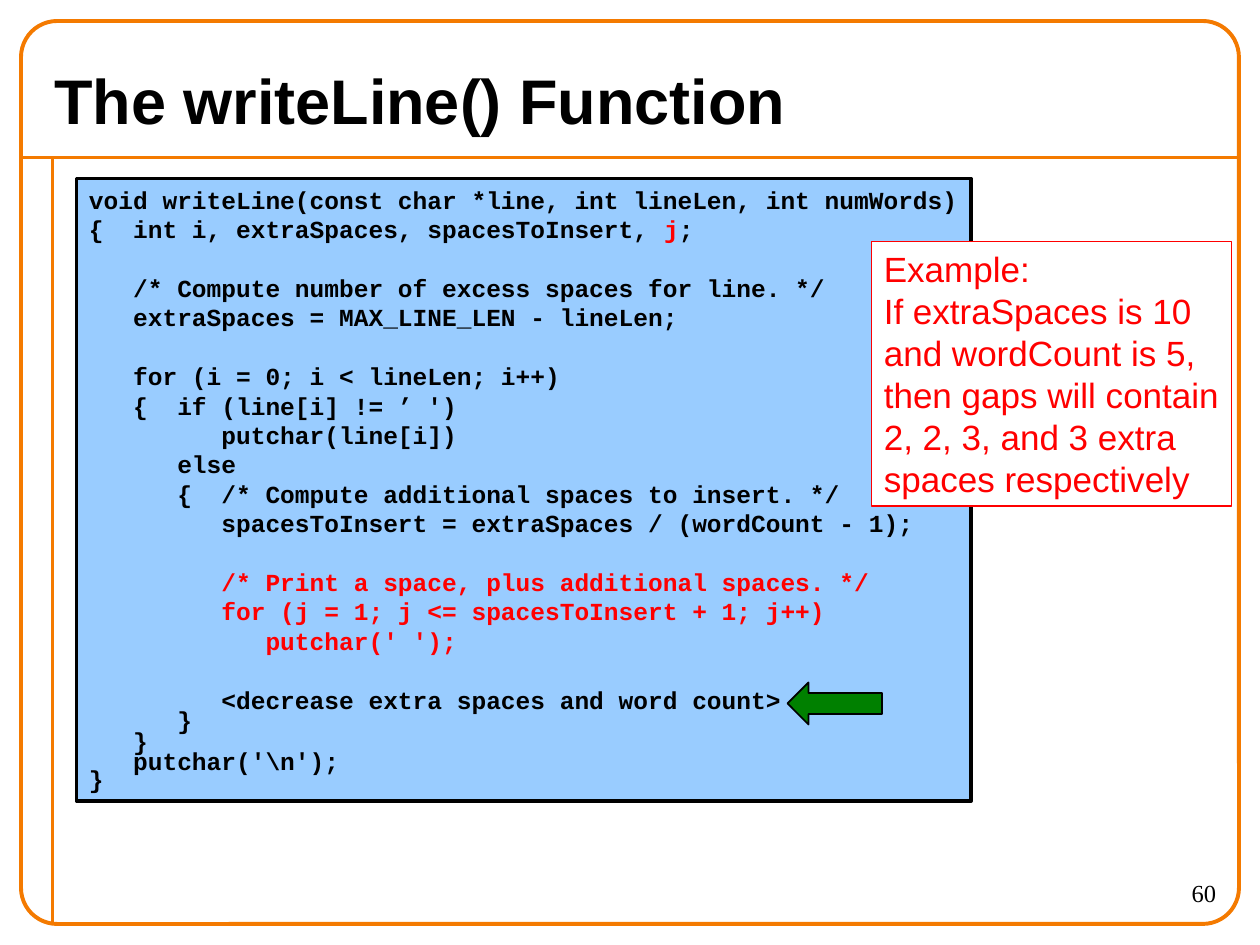
from dataclasses import dataclass

from pptx import Presentation
from pptx import util as u
from pptx.dml.color import RGBColor
from pptx.enum import shapes, text
from pptx.oxml.ns import qn


@dataclass(frozen=True)
class Theme:
    frame: str = "F47A00"
    ink: str = "000000"
    accent: str = "FF0000"
    code_fill: str = "99CCFF"
    paper: str = "FFFFFF"
    arrow: str = "008000"
    sans: str = "Arial"
    mono: str = "Courier New"
    serif: str = "Times New Roman"
    title_size: int = 36
    note_size: int = 20
    code_size: int = 14
    leading: float = 1.2


@dataclass(frozen=True)
class Area:
    column: float
    row: float
    columns: float
    rows: float

    def lengths(self) -> list[int]:
        return [cells(n) for n in (self.column, self.row, self.columns, self.rows)]


@dataclass(frozen=True)
class Style:
    font: str
    size: int
    bold: bool = False


@dataclass(frozen=True)
class Run:
    words: str
    color: str


@dataclass(frozen=True)
class Line:
    runs: tuple[Run, ...]
    height: float = 1
    gap: int = 0


THEME = Theme()
COLUMNS, ROWS = 120, 90
CELL = u.Inches(10) / COLUMNS


def cells(count: float) -> int:
    return round(count * CELL)


def code(words: str, color: str = THEME.ink, height: float = 1, gap: int = 0) -> Line:
    return Line((Run(words, color),), height, gap)


CODE = [
    code("void writeLine(const char *line, int lineLen, int numWords)"),
    Line((Run("{  int i, extraSpaces, spacesToInsert, ", THEME.ink),
          Run("j", THEME.accent), Run(";", THEME.ink))),
    code("   /* Compute number of excess spaces for line. */", gap=1),
    code("   extraSpaces = MAX_LINE_LEN - lineLen;"),
    code("   for (i = 0; i < lineLen; i++)", gap=1),
    code("   {  if (line[i] != ’ ')"),
    code("         putchar(line[i])"),
    code("      else"),
    code("      {  /* Compute additional spaces to insert. */"),
    code("         spacesToInsert = extraSpaces / (wordCount - 1);"),
    code("         /* Print a space, plus additional spaces. */", THEME.accent, gap=1),
    code("         for (j = 1; j <= spacesToInsert + 1; j++)", THEME.accent),
    code("            putchar(' ');", THEME.accent),
    code("         <decrease extra spaces and word count>", gap=1),
    code("      }", height=0.7),
    code("   }", height=0.7),
    code("   putchar('\\n');", height=0.7),
    code("}", height=0.6),
]

EXAMPLE = [
    code(words, THEME.accent) for words in (
        "Example:",
        "If extraSpaces is 10",
        "and wordCount is 5,",
        "then gaps will contain",
        "2, 2, 3, and 3 extra",
        "spaces respectively",
    )
]


def add_rule(slide, start: tuple[float, float], end: tuple[float, float]) -> None:
    rule = slide.shapes.add_connector(
        shapes.MSO_CONNECTOR.STRAIGHT, *(cells(n) for n in start + end))
    rule.line.color.rgb = RGBColor.from_string(THEME.frame)
    rule.line.width = u.Pt(2.25)
    properties = rule._element.spPr
    properties.append(properties.makeelement(qn("a:effectLst"), {}))


def add_box(slide, kind, area: Area, fill: str | None, line: str, width: float):
    shape = slide.shapes.add_shape(kind, *area.lengths())
    shape.shadow.inherit = False
    if fill:
        shape.fill.solid()
        shape.fill.fore_color.rgb = RGBColor.from_string(fill)
    else:
        shape.fill.background()
    shape.line.color.rgb = RGBColor.from_string(line)
    shape.line.width = u.Pt(width)
    return shape


def add_run(paragraph, run: Run, style: Style) -> None:
    piece = paragraph.add_run()
    piece.text = run.words
    piece.font.name = style.font
    piece.font.size = u.Pt(style.size)
    piece.font.bold = style.bold
    piece.font.color.rgb = RGBColor.from_string(run.color)


def write_lines(shape, lines: list[Line], style: Style, anchor) -> None:
    frame = shape.text_frame
    frame.word_wrap = False
    frame.vertical_anchor = anchor
    pitch = style.size * THEME.leading
    for index, line in enumerate(lines):
        paragraph = frame.add_paragraph() if index else frame.paragraphs[0]
        paragraph.alignment = text.PP_ALIGN.LEFT
        paragraph.line_spacing = u.Pt(pitch * line.height)
        if line.gap:
            paragraph.space_before = u.Pt(pitch * line.gap)
        for run in line.runs:
            add_run(paragraph, run, style)


def add_label(slide, area: Area, words: str, style: Style, alignment, anchor) -> None:
    frame = slide.shapes.add_textbox(*area.lengths()).text_frame
    frame.word_wrap = True
    frame.vertical_anchor = anchor
    paragraph = frame.paragraphs[0]
    paragraph.alignment = alignment
    add_run(paragraph, Run(words, THEME.ink), style)


def main() -> None:
    presentation = Presentation()
    presentation.slide_width = cells(COLUMNS)
    presentation.slide_height = cells(ROWS)
    slide = presentation.slides.add_slide(presentation.slide_layouts[6])
    kinds, anchors = shapes.MSO_SHAPE, text.MSO_ANCHOR

    add_rule(slide, (2, 15), (118, 15))
    add_rule(slide, (5, 15), (5, 88))
    border = add_box(slide, kinds.ROUNDED_RECTANGLE, Area(2, 2, 116, 86),
                     None, THEME.frame, 2.25)
    border.adjustments[0] = 0.04

    add_label(slide, Area(4, 5, 112, 9), "The writeLine() Function",
              Style(THEME.sans, THEME.title_size, True),
              text.PP_ALIGN.LEFT, anchors.MIDDLE)
    add_label(slide, Area(105, 83, 12, 5), "60",
              Style(THEME.serif, THEME.code_size),
              text.PP_ALIGN.RIGHT, anchors.TOP)

    listing = add_box(slide, kinds.RECTANGLE, Area(7.3, 17, 85.2, 59.3),
                      THEME.code_fill, THEME.ink, 2)
    write_lines(listing, CODE, Style(THEME.mono, THEME.code_size, True), anchors.TOP)

    example = add_box(slide, kinds.RECTANGLE, Area(83, 23, 34.3, 25.2),
                      THEME.paper, THEME.accent, 1)
    write_lines(example, EXAMPLE, Style(THEME.sans, THEME.note_size), anchors.MIDDLE)

    add_box(slide, kinds.LEFT_ARROW, Area(75, 65, 9, 4), THEME.arrow, THEME.ink, 1)
    presentation.save("out.pptx")


if __name__ == "__main__":
    main()
